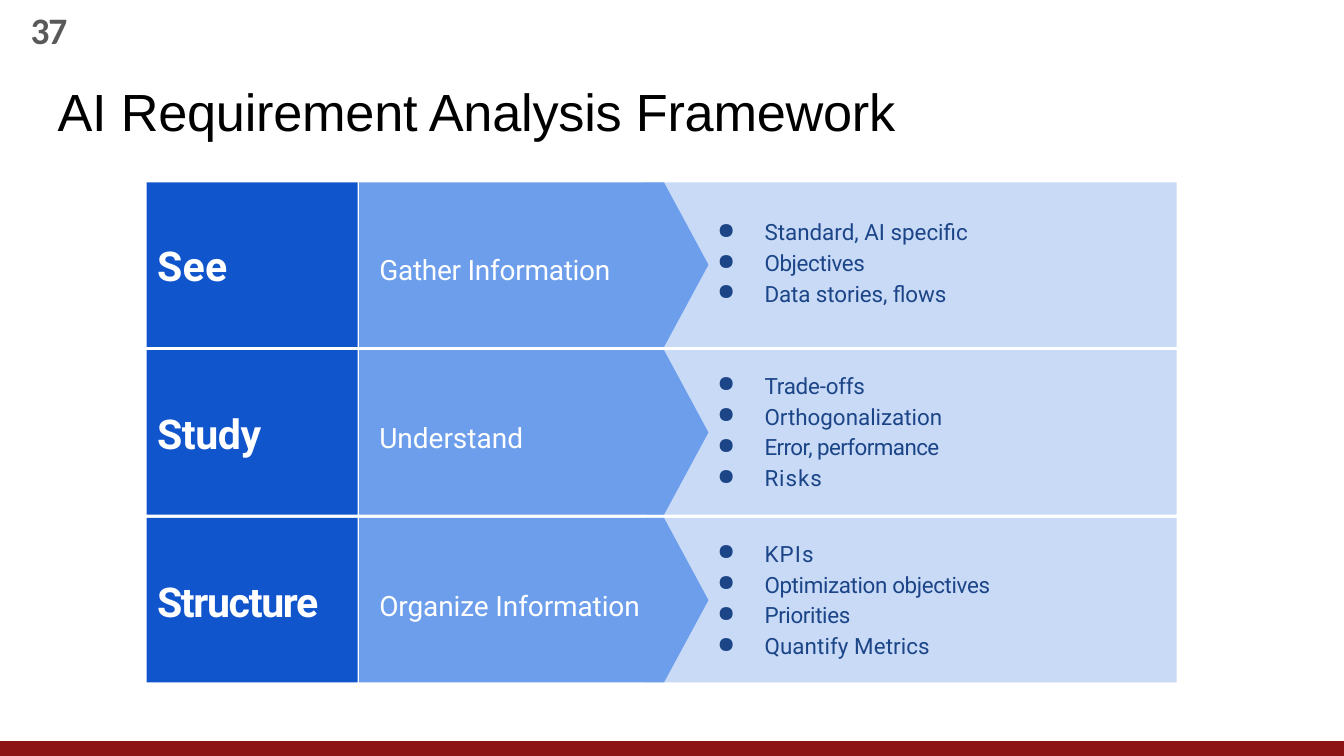
from lxml import etree
from pptx import Presentation
from pptx.dml.color import RGBColor
from pptx.enum.shapes import MSO_SHAPE
from pptx.enum.text import MSO_ANCHOR, PP_ALIGN
from pptx.oxml.ns import qn
from pptx.util import Cm, Pt

RECTANGLE = MSO_SHAPE.RECTANGLE
PENTAGON = MSO_SHAPE.PENTAGON
TOP = MSO_ANCHOR.TOP
LEFT = PP_ALIGN.LEFT

WIDTH, HEIGHT = 25.4, 14.29
FOOTER_HEIGHT = 0.28
ROW_TOP, ROW_PITCH, ROW_HEIGHT = 3.45, 3.17, 3.11
TIP_RATIO = 0.27

# Each text comes with its letter spacing in points.
STAGES = [
    (("See", 0.2), ("Gather Information", -0.15)),
    (("Study", -0.2), ("Understand", 0)),
    (("Structure", -0.7), ("Organize Information", -0.05)),
]
# Each group starts with the space before its first bullet in points.
BULLET_GROUPS = [
    (0, [("Standard, AI speciﬁc", 0), ("Objectives", -0.2),
         ("Data stories, ﬂows", -0.05)]),
    (34.8, [("Trade-offs", -0.1), ("Orthogonalization", 0),
            ("Error, performance", -0.3), ("Risks", 0.5)]),
    (26.2, [("KPIs", 0.6), ("Optimization objectives", -0.2),
            ("Priorities", -0.2), ("Quantify Metrics", 0.05)]),
]


def color(value):
    return RGBColor.from_string(value)


def add_block(page, kind, left, top, width, height, fill):
    block = page.shapes.add_shape(kind, Cm(left), Cm(top), Cm(width), Cm(height))
    block.shadow.inherit = False
    block.fill.solid()
    block.fill.fore_color.rgb = color(fill)
    block.line.fill.background()
    return block


def prepare_frame(box, inset):
    frame = box.text_frame
    frame.word_wrap = True
    frame.vertical_anchor = TOP
    frame.margin_left = frame.margin_right = frame.margin_bottom = 0
    frame.margin_top = Cm(inset)
    return frame


def add_span(para, text, spacing, size, font, fill, bold=False):
    para.alignment = LEFT
    span = para.add_run()
    span.text = text
    span.font.size = Pt(size)
    span.font.name = font
    span.font.bold = bold
    span.font.color.rgb = color(fill)
    span.font._element.set("spc", str(round(spacing * 100)))


def add_label(page, left, top, width, height, *style, **options):
    box = page.shapes.add_textbox(Cm(left), Cm(top), Cm(width), Cm(height))
    add_span(prepare_frame(box, 0.03).paragraphs[0], *style, **options)


def set_title(page):
    title = page.shapes.title
    title.left, title.top = Cm(1.09), Cm(1.47)
    title.width, title.height = Cm(16.2), Cm(1.24)
    para = prepare_frame(title, 0.03).paragraphs[0]
    add_span(para, "AI Requirement Analysis Framework", -0.1, 28, "Arial", "000000")


def add_row(page, top, stage, action):
    add_block(page, RECTANGLE, 2.77, top, 3.99, ROW_HEIGHT, "1155CC")
    add_block(page, RECTANGLE, 12.2, top, 10.04, ROW_HEIGHT, "C9DAF7")
    arrow = add_block(page, PENTAGON, 6.79, top, 6.6, ROW_HEIGHT, "6C9EEB")
    arrow.adjustments[0] = TIP_RATIO
    add_label(page, 2.97, top + 1.07, 3.33, 0.99, *stage, 22, "Roboto", "FFFFFF",
              bold=True)
    add_label(page, 7.17, top + 1.3, 5.08, 0.71, *action, 15, "Roboto", "FFFFFF")


def make_bullet(para):
    properties = para._p.get_or_add_pPr()
    properties.set("marL", str(Cm(0.91)))
    properties.set("indent", str(Cm(-0.89)))
    etree.SubElement(properties, qn("a:buChar"), char="●")


def add_bullets(page):
    box = page.shapes.add_textbox(Cm(13.54), Cm(4.03), Cm(5.36), Cm(8.43))
    frame = prepare_frame(box, 0.1)
    for group_index, (gap, items) in enumerate(BULLET_GROUPS):
        for index, (text, spacing) in enumerate(items):
            first = group_index == index == 0
            para = frame.paragraphs[0] if first else frame.add_paragraph()
            make_bullet(para)
            para.space_before = Pt(2.1 if index else gap)
            add_span(para, text, spacing, 12, "Roboto", "1B4587")


def main():
    deck = Presentation()
    deck.slide_width, deck.slide_height = Cm(WIDTH), Cm(HEIGHT)
    page = deck.slides.add_slide(deck.slide_layouts[5])
    add_block(page, RECTANGLE, 0, HEIGHT - FOOTER_HEIGHT, WIDTH, FOOTER_HEIGHT,
              "8C1414")
    set_title(page)
    for index, (stage, action) in enumerate(STAGES):
        add_row(page, ROW_TOP + index * ROW_PITCH, stage, action)
    add_bullets(page)
    add_label(page, 0.58, 0.1, 0.8, 0.91, "37", -0.7, 20, "Calibri", "595959",
              bold=True)
    deck.save("out.pptx")


if __name__ == "__main__":
    main()
